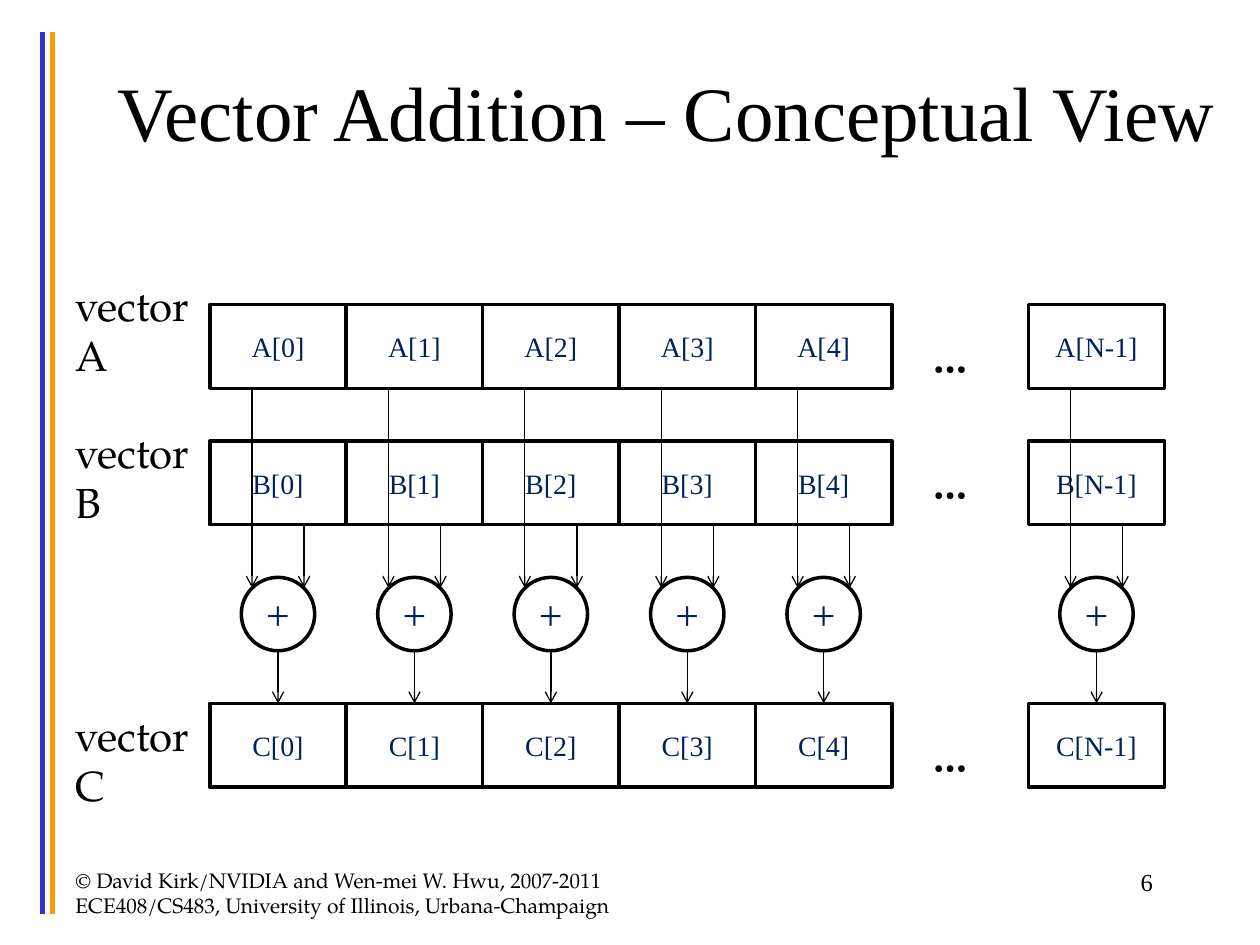
"""Build a slide that shows vector addition as element-wise sums."""
import pptx
import pptx.dml.color
import pptx.enum.shapes
import pptx.enum.text
import pptx.oxml
import pptx.oxml.ns
import pptx.util

Cm = pptx.util.Cm
Pt = pptx.util.Pt
ALIGN = pptx.enum.text.PP_ALIGN
ANCHOR = pptx.enum.text.MSO_ANCHOR
SHAPE = pptx.enum.shapes.MSO_SHAPE

TITLE = "Vector Addition – Conceptual View"
FOOTER = ("© David Kirk/NVIDIA and Wen-mei W. Hwu, 2007-2011 "
          "ECE408/CS483, University of Illinois, Urbana-Champaign")
PAGE_NUMBER = "6"
COLUMNS = [(0, "0"), (1, "1"), (2, "2"), (3, "3"), (4, "4"), (6, "N-1")]
VECTORS = [
    {"name": "A", "top": 6.14, "label_top": 5.5, "dots_top": 6.56},
    {"name": "B", "top": 8.89, "label_top": 8.47, "dots_top": 9.1},
    {"name": "C", "top": 14.18, "label_top": 14.18, "dots_top": 14.6},
]
COLORS = {"ink": "000000", "paper": "FFFFFF", "element": "002060",
          "blue bar": "3333CC", "orange bar": "FF9900"}
BARS = [("blue bar", 0.85), ("orange bar", 1.06)]
SERIF = "Times New Roman"
BOOK = "TeX Gyre Pagella"

GRID_LEFT = 4.23
CELL_WIDTH, CELL_HEIGHT = 2.75, 1.69
CIRCLE_TOP, CIRCLE_SIZE = 11.64, 1.48
ARROW_INSET = 0.85
INPUT_END = 11.85


def color(name):
    return pptx.dml.color.RGBColor.from_string(COLORS[name])


def write(shape, text, size, font_name, ink="ink", align=ALIGN.LEFT,
          anchor=ANCHOR.TOP, bold=False, wrap=True):
    frame = shape.text_frame
    frame.text = text
    frame.word_wrap = wrap
    frame.vertical_anchor = anchor
    paragraph = frame.paragraphs[0]
    paragraph.alignment = align
    font = paragraph.runs[0].font
    font.size, font.name, font.bold = Pt(size), font_name, bold
    font.color.rgb = color(ink)


def add_text(slide, box, *content, **style):
    shape = slide.shapes.add_textbox(*map(Cm, box))
    write(shape, *content, **style)


def add_node(slide, kind, box, text, size):
    shape = slide.shapes.add_shape(kind, *map(Cm, box))
    shape.shadow.inherit = False
    shape.fill.solid()
    shape.fill.fore_color.rgb = color("paper")
    shape.line.color.rgb = color("ink")
    shape.line.width = Pt(2)
    write(shape, text, size, SERIF, "element", ALIGN.CENTER, ANCHOR.MIDDLE)
    return shape


def add_line(slide, x, top, bottom, ink="ink", width=0.75, arrow=False):
    line = slide.shapes.add_connector(
        pptx.enum.shapes.MSO_CONNECTOR.STRAIGHT, Cm(x), Cm(top), Cm(x), Cm(bottom))
    line.line.color.rgb = color(ink)
    line.line.width = Pt(width)
    properties = line._element.spPr
    if arrow:
        head = pptx.oxml.parse_xml(
            f'<a:tailEnd {pptx.oxml.ns.nsdecls("a")} type="arrow"/>')
        line.line._get_or_add_ln().append(head)
    properties.append(pptx.oxml.parse_xml(
        f'<a:effectLst {pptx.oxml.ns.nsdecls("a")}/>'))
    return line


def add_vector(slide, vector):
    name, top = vector["name"], vector["top"]
    add_text(slide, (1.27, vector["label_top"], 3.39, 2.29),
             f"vector {name}", 24, BOOK)
    add_text(slide, (18.54, vector["dots_top"], 1.35, 1.27),
             "…", 24, BOOK, bold=True, wrap=False)
    return [add_node(slide, SHAPE.RECTANGLE,
                     (GRID_LEFT + column * CELL_WIDTH, top, CELL_WIDTH, CELL_HEIGHT),
                     f"{name}[{index}]", 16)
            for column, index in COLUMNS]


def add_sum(slide, column, result):
    left = GRID_LEFT + column * CELL_WIDTH
    center = left + CELL_WIDTH / 2
    add_node(slide, SHAPE.OVAL,
             (center - CIRCLE_SIZE / 2, CIRCLE_TOP, CIRCLE_SIZE, CIRCLE_SIZE), "+", 24)
    input_places = (left + ARROW_INSET, left + CELL_WIDTH - ARROW_INSET)
    for x, vector in zip(input_places, VECTORS):
        add_line(slide, x, vector["top"] + CELL_HEIGHT, INPUT_END, arrow=True)
    output = add_line(slide, center, CIRCLE_TOP + CIRCLE_SIZE,
                      VECTORS[-1]["top"], arrow=True)
    output.end_connect(result, 0)


def main():
    presentation = pptx.Presentation()
    presentation.slide_width, presentation.slide_height = Cm(25.4), Cm(19.05)
    slide = presentation.slides.add_slide(presentation.slide_layouts[6])
    for ink, x in BARS:
        add_line(slide, x, 0.64, 18.42, ink, 3)
    rows = [add_vector(slide, vector) for vector in VECTORS]
    for (column, _), result in zip(COLUMNS, rows[-1]):
        add_sum(slide, column, result)
    add_text(slide, (1.91, 0.64, 23.06, 3.18), TITLE, 44, SERIF,
             align=ALIGN.CENTER, anchor=ANCHOR.MIDDLE)
    add_text(slide, (18.2, 17.36, 5.29, 1.27), PAGE_NUMBER, 14, SERIF,
             align=ALIGN.RIGHT)
    add_text(slide, (1.27, 17.36, 11.64, 1.27), FOOTER, 12, BOOK)
    presentation.save("out.pptx")


if __name__ == "__main__":
    main()
